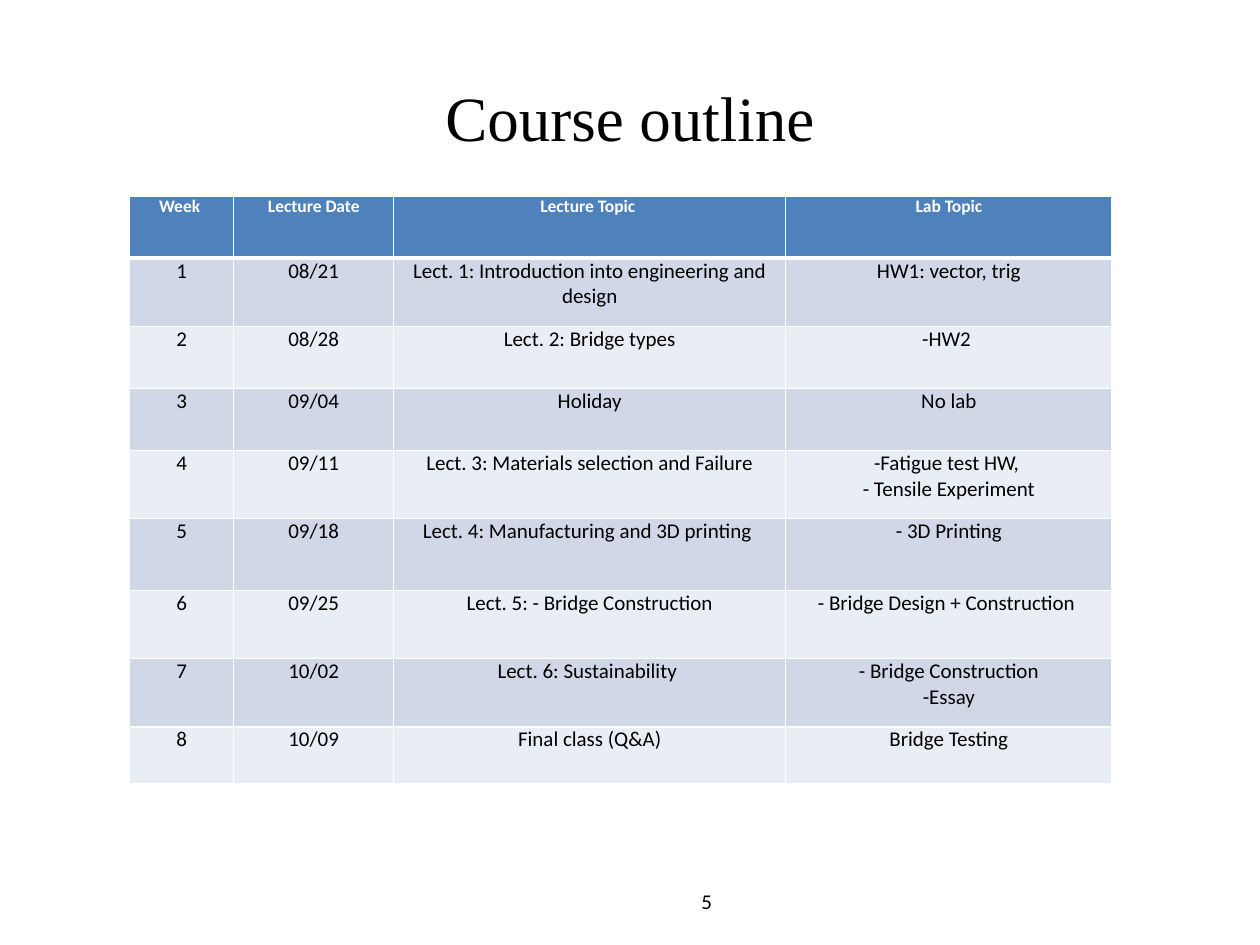
from lxml.etree import SubElement
from pptx import Presentation
from pptx.dml.color import RGBColor
from pptx.enum.text import MSO_ANCHOR, PP_ALIGN
from pptx.oxml.ns import qn
from pptx.util import Pt


def style(frame, font, size, color, align, bold=False):
    for paragraph in frame.paragraphs:
        paragraph.alignment = align
        for run in paragraph.runs:
            run.font.name = font
            run.font.size = Pt(size)
            run.font.bold = bold
            run.font.color.rgb = RGBColor.from_string(color)


def add_border(cell, side, width):
    line = SubElement(cell._tc.get_or_add_tcPr(), qn(f"a:{side}"), w=str(Pt(width)))
    fill = SubElement(line, qn("a:solidFill"))
    SubElement(fill, qn("a:srgbClr"), val="FFFFFF")


HEADERS = ["Week ", "Lecture Date", "Lecture Topic ", "Lab Topic"]
LESSONS = [
    ("08/21", "Lect. 1: Introduction into engineering and design", "HW1: vector, trig"),
    ("08/28", "Lect. 2: Bridge types", "-HW2 "),
    ("09/04", "Holiday", "No lab"),
    ("09/11", "Lect. 3: Materials selection and Failure", "-Fatigue test HW, \n- Tensile Experiment"),
    ("09/18", "Lect. 4: Manufacturing and 3D printing ", "- 3D Printing"),
    ("09/25", "Lect. 5: - Bridge Construction", "- Bridge Design + Construction "),
    ("10/02", "Lect. 6: Sustainability ", "- Bridge Construction\n-Essay"),
    ("10/09", "Final class (Q&A)", "Bridge Testing"),
]
COLUMN_WIDTHS = [59.5, 91.5, 224, 186.5]
ROW_HEIGHTS = [35.5, 39, 35.5, 35.5, 39, 41, 39, 39, 32.5]

prs = Presentation()
prs.slide_width, prs.slide_height = Pt(720), Pt(540)
slide = prs.slides.add_slide(prs.slide_layouts[6])

labels = [
    ("Course outline", 36, 21.5, 648, 90, 36, "Times New Roman", PP_ALIGN.CENTER),
    ("5", 246, 500.5, 168, 28.75, 12, "Calibri", PP_ALIGN.RIGHT),
]
for text, left, top, width, height, size, font, align in labels:
    label = slide.shapes.add_textbox(Pt(left), Pt(top), Pt(width), Pt(height)).text_frame
    label.word_wrap = True
    label.vertical_anchor = MSO_ANCHOR.MIDDLE
    label.text = text
    style(label, font, size, "000000", align)

rows = [HEADERS] + [(str(week), *lesson) for week, lesson in enumerate(LESSONS, 1)]
schedule = slide.shapes.add_table(
    len(rows), len(HEADERS), Pt(74), Pt(112),
    Pt(sum(COLUMN_WIDTHS)), Pt(sum(ROW_HEIGHTS)),
).table
for column, width in zip(schedule.columns, COLUMN_WIDTHS):
    column.width = Pt(width)
for row, height in zip(schedule.rows, ROW_HEIGHTS):
    row.height = Pt(height)

for week, texts in enumerate(rows):
    is_header = week == 0
    background = "4F81BD" if is_header else "D0D8E8" if week % 2 else "E9EDF4"
    for column, text in enumerate(texts):
        cell = schedule.cell(week, column)
        cell.text_frame.text = text
        cell.margin_left = cell.margin_right = Pt(5)
        cell.margin_top = cell.margin_bottom = 0
        for side in ("lnL", "lnR", "lnT", "lnB"):
            heavy = (is_header and side == "lnB") or (week == 1 and side == "lnT")
            add_border(cell, side, 3 if heavy else 1)
        cell.fill.solid()
        cell.fill.fore_color.rgb = RGBColor.from_string(background)
        style(cell.text_frame, "Calibri", 10 if is_header else 12,
              "FFFFFF" if is_header else "000000", PP_ALIGN.CENTER, is_header)

prs.save("out.pptx")
